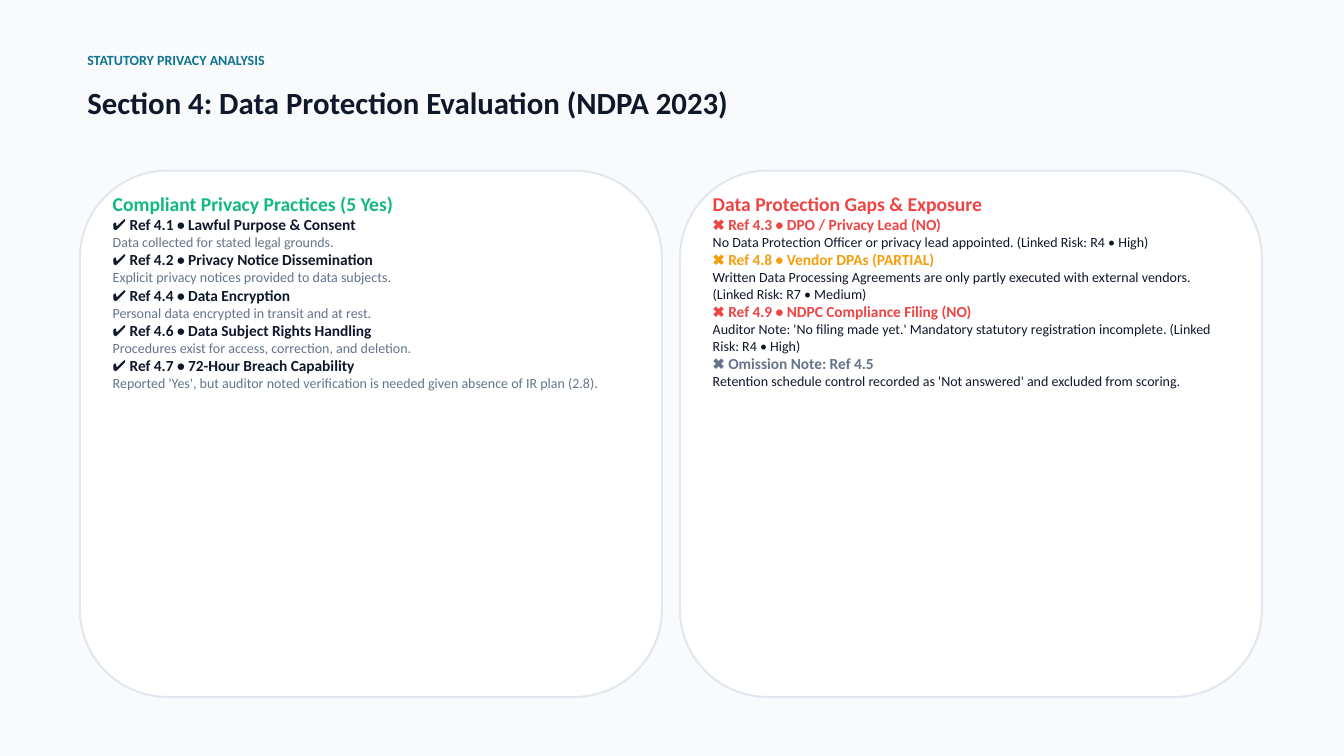
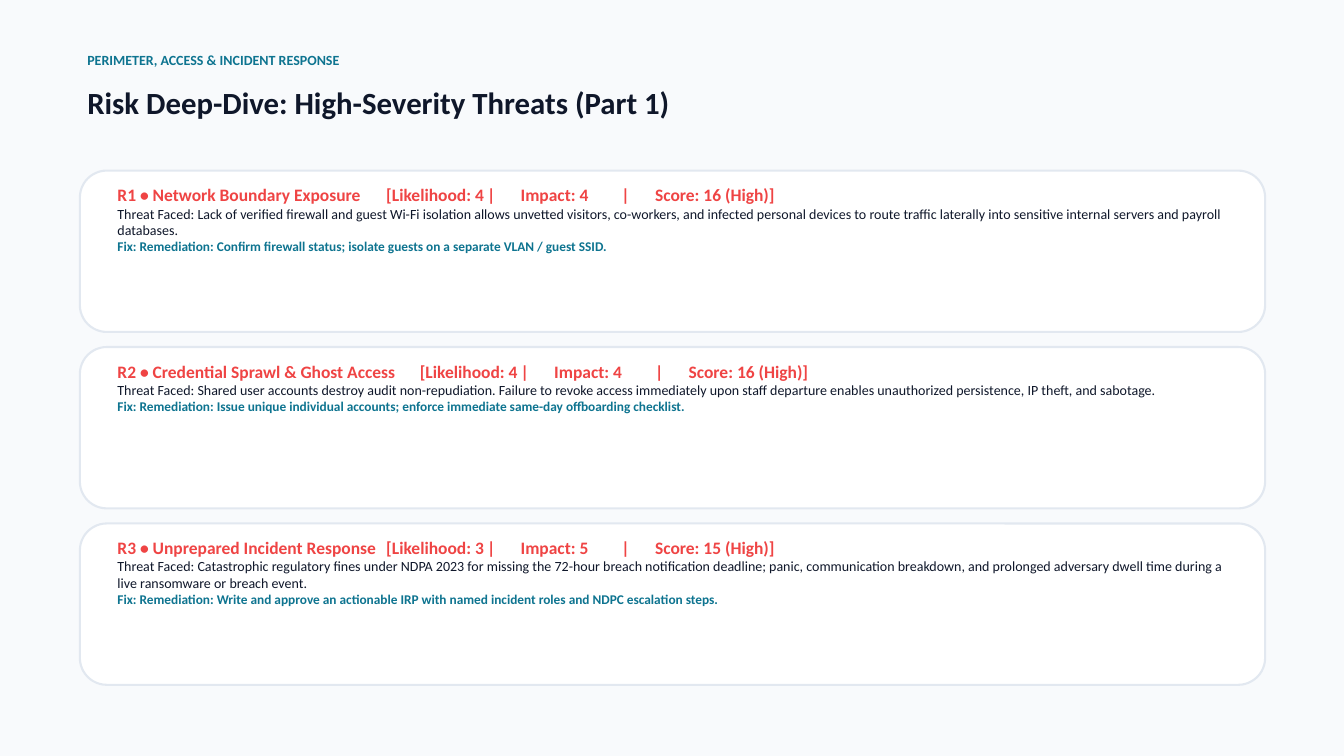
"""Build two slides on data protection findings and high-severity risks."""
from dataclasses import dataclass

import lxml.etree
import pptx
import pptx.dml.color
import pptx.enum.shapes
import pptx.enum.text
import pptx.oxml.ns
import pptx.util

Cm = pptx.util.Cm


@dataclass(frozen=True)
class Theme:
    """Hold the shared colours, font and type sizes."""
    font: str = "Calibri"
    background: str = "F8FAFC"
    card: str = "FFFFFF"
    border: str = "E2E8F0"
    ink: str = "0F172A"
    muted: str = "64748B"
    accent: str = "0E7490"
    good: str = "10B981"
    bad: str = "EF4444"
    partial: str = "F59E0B"
    title_size: float = 33
    panel_size: float = 21
    risk_size: float = 18.75
    item_size: float = 16.5
    body_size: float = 15
    fix_size: float = 14.25
    line_height: float = 1.2


@dataclass(frozen=True)
class Line:
    """Describe one formatted paragraph."""
    text: str
    size: float
    colour: str
    bold: bool = True
    tabs: tuple = ()


THEME = Theme()
LEFT, TOP = 3.02, 6.45
PANEL_WIDTH, PANEL_HEIGHT, PANEL_GAP = 22, 19.9, 0.68
RISK_WIDTH, RISK_HEIGHT, RISK_GAP = 44.8, 6.1, 0.57
SCORE_OFFSETS = (0, 4.01, 4.61, 7.48, 8.09)

COMPLIANT = [
    ("✔ Ref 4.1 • Lawful Purpose & Consent", "Data collected for stated legal grounds."),
    ("✔ Ref 4.2 • Privacy Notice Dissemination",
     "Explicit privacy notices provided to data subjects."),
    ("✔ Ref 4.4 • Data Encryption", "Personal data encrypted in transit and at rest."),
    ("✔ Ref 4.6 • Data Subject Rights Handling",
     "Procedures exist for access, correction, and deletion."),
    ("✔ Ref 4.7 • 72-Hour Breach Capability",
     "Reported 'Yes', but auditor noted verification is needed given absence of IR plan (2.8)."),
]
GAPS = [
    ("✖ Ref 4.3 • DPO / Privacy Lead (NO)", THEME.bad,
     "No Data Protection Officer or privacy lead appointed. (Linked Risk: R4 • High)"),
    ("✖ Ref 4.8 • Vendor DPAs (PARTIAL)", THEME.partial,
     "Written Data Processing Agreements are only partly executed with external vendors. "
     "(Linked Risk: R7 • Medium)"),
    ("✖ Ref 4.9 • NDPC Compliance Filing (NO)", THEME.bad,
     "Auditor Note: 'No filing made yet.' Mandatory statutory registration incomplete. "
     "(Linked Risk: R4 • High)"),
    ("✖ Omission Note: Ref 4.5", THEME.muted,
     "Retention schedule control recorded as 'Not answered' and excluded from scoring."),
]
RISKS = [
    ("R1 • Network Boundary Exposure", 9.75, 4, 4,
     "Lack of verified firewall and guest Wi-Fi isolation allows unvetted visitors, co-workers, "
     "and infected personal devices to route traffic laterally into sensitive internal servers "
     "and payroll databases.",
     "Confirm firewall status; isolate guests on a separate VLAN / guest SSID."),
    ("R2 • Credential Sprawl & Ghost Access", 11.07, 4, 4,
     "Shared user accounts destroy audit non-repudiation. Failure to revoke access immediately "
     "upon staff departure enables unauthorized persistence, IP theft, and sabotage.",
     "Issue unique individual accounts; enforce immediate same-day offboarding checklist."),
    ("R3 • Unprepared Incident Response", 10.36, 3, 5,
     "Catastrophic regulatory fines under NDPA 2023 for missing the 72-hour breach notification "
     "deadline; panic, communication breakdown, and prolonged adversary dwell time during a "
     "live ransomware or breach event.",
     "Write and approve an actionable IRP with named incident roles and NDPC escalation steps."),
]


def rgb(colour):
    """Turn a hexadecimal string into a colour."""
    return pptx.dml.color.RGBColor.from_string(colour)


def place(shape, left, top, width, height):
    """Set the position and size of a shape in centimetres."""
    shape.left, shape.top = Cm(left), Cm(top)
    shape.width, shape.height = Cm(width), Cm(height)


def set_bullet_and_tabs(paragraph, tabs):
    """Remove the bullet and indent, and add left tab stops."""
    properties = paragraph._p.get_or_add_pPr()
    properties.set("marL", "0")
    properties.set("indent", "0")
    qualified = pptx.oxml.ns.qn
    lxml.etree.SubElement(properties, qualified("a:buNone"))
    if tabs:
        tab_list = lxml.etree.SubElement(properties, qualified("a:tabLst"))
        for position in tabs:
            lxml.etree.SubElement(tab_list, qualified("a:tab"),
                                  pos=str(Cm(position)), algn="l")


def write_lines(shape, lines):
    """Fill a shape with formatted paragraphs and no inner margins."""
    frame = shape.text_frame
    frame.text = "\n".join(line.text for line in lines)
    frame.word_wrap = True
    frame.auto_size = pptx.enum.text.MSO_AUTO_SIZE.SHAPE_TO_FIT_TEXT
    frame.vertical_anchor = pptx.enum.text.MSO_ANCHOR.TOP
    frame.margin_left = frame.margin_right = frame.margin_top = frame.margin_bottom = 0
    for paragraph, line in zip(frame.paragraphs, lines):
        set_bullet_and_tabs(paragraph, line.tabs)
        paragraph.alignment = pptx.enum.text.PP_ALIGN.LEFT
        paragraph.line_spacing = pptx.util.Pt(line.size * THEME.line_height)
        paragraph.space_before = pptx.util.Pt(0)
        for run in paragraph.runs:
            run.font.name = THEME.font
            run.font.size = pptx.util.Pt(line.size)
            run.font.bold = line.bold
            run.font.color.rgb = rgb(line.colour)


def add_text(slide, left, top, width, height, lines):
    """Add a text box with formatted paragraphs."""
    box = slide.shapes.add_textbox(Cm(left), Cm(top), Cm(width), Cm(height))
    write_lines(box, lines)


def add_card(slide, left, top, width, height):
    """Add a white rounded card with a pale border."""
    card = slide.shapes.add_shape(pptx.enum.shapes.MSO_SHAPE.ROUNDED_RECTANGLE,
                                  Cm(left), Cm(top), Cm(width), Cm(height))
    card.shadow.inherit = False
    card.fill.solid()
    card.fill.fore_color.rgb = rgb(THEME.card)
    card.line.color.rgb = rgb(THEME.border)
    card.line.width = pptx.util.Pt(2.25)
    return card


def add_slide(presentation, layout_name, eyebrow, title):
    """Add a slide with its eyebrow and title."""
    slide = presentation.slides.add_slide(presentation.slide_layouts.get_by_name(layout_name))
    add_text(slide, 3.3, 1.93, 44.1, 1.19, [Line(eyebrow, THEME.body_size, THEME.accent)])
    place(slide.shapes.title, 3.3, 3.18, 44.1, 2.41)
    write_lines(slide.shapes.title, [Line(title, THEME.title_size, THEME.ink)])
    return slide


def add_panel(slide, index, heading, colour, items):
    """Add a tall card with a heading and paired item lines in a body placeholder."""
    left = LEFT + index * (PANEL_WIDTH + PANEL_GAP)
    card = add_card(slide, left, TOP, PANEL_WIDTH, PANEL_HEIGHT)
    body = slide.placeholders[index + 1]
    body.element.addprevious(card.element)
    place(body, left + 1.24, TOP + 0.79, 19.5, 18.2)
    lines = [Line(heading, THEME.panel_size, colour)]
    for name, name_colour, detail, detail_colour in items:
        lines.append(Line(name, THEME.item_size, name_colour))
        lines.append(Line(detail, THEME.body_size, detail_colour, bold=False))
    write_lines(body, lines)


def add_risk(slide, index, name, score_left, likelihood, impact, threat, remedy):
    """Add a wide card with a scored risk, its threat and its fix."""
    top = TOP + index * (RISK_HEIGHT + RISK_GAP)
    add_card(slide, LEFT, top, RISK_WIDTH, RISK_HEIGHT)
    heading = (f"{name}\t[Likelihood: {likelihood}\t|\tImpact: {impact}"
               f"\t|\tScore: {likelihood * impact} (High)]")
    tabs = tuple(score_left + offset for offset in SCORE_OFFSETS)
    add_text(slide, LEFT + 1.42, top + 0.51, 41.81, 4.8, [
        Line(heading, THEME.risk_size, THEME.bad, tabs=tabs),
        Line(f"Threat Faced: {threat}", THEME.body_size, THEME.ink, bold=False),
        Line(f"Fix: Remediation: {remedy}", THEME.fix_size, THEME.accent),
    ])


def main():
    """Build and save the presentation."""
    presentation = pptx.Presentation()
    presentation.slide_width, presentation.slide_height = Cm(50.8), Cm(28.58)
    background = presentation.slide_master.background.fill
    background.solid()
    background.fore_color.rgb = rgb(THEME.background)

    privacy = add_slide(presentation, "Two Content", "STATUTORY PRIVACY ANALYSIS",
                        "Section 4: Data Protection Evaluation (NDPA 2023)")
    add_panel(privacy, 0, "Compliant Privacy Practices (5 Yes)", THEME.good,
              [(name, THEME.ink, detail, THEME.muted) for name, detail in COMPLIANT])
    add_panel(privacy, 1, "Data Protection Gaps & Exposure", THEME.bad,
              [(name, colour, detail, THEME.ink) for name, colour, detail in GAPS])

    threats = add_slide(presentation, "Title Only", "PERIMETER, ACCESS & INCIDENT RESPONSE",
                        "Risk Deep-Dive: High-Severity Threats (Part 1)")
    for index, risk in enumerate(RISKS):
        add_risk(threats, index, *risk)

    presentation.save("out.pptx")


if __name__ == "__main__":
    main()
